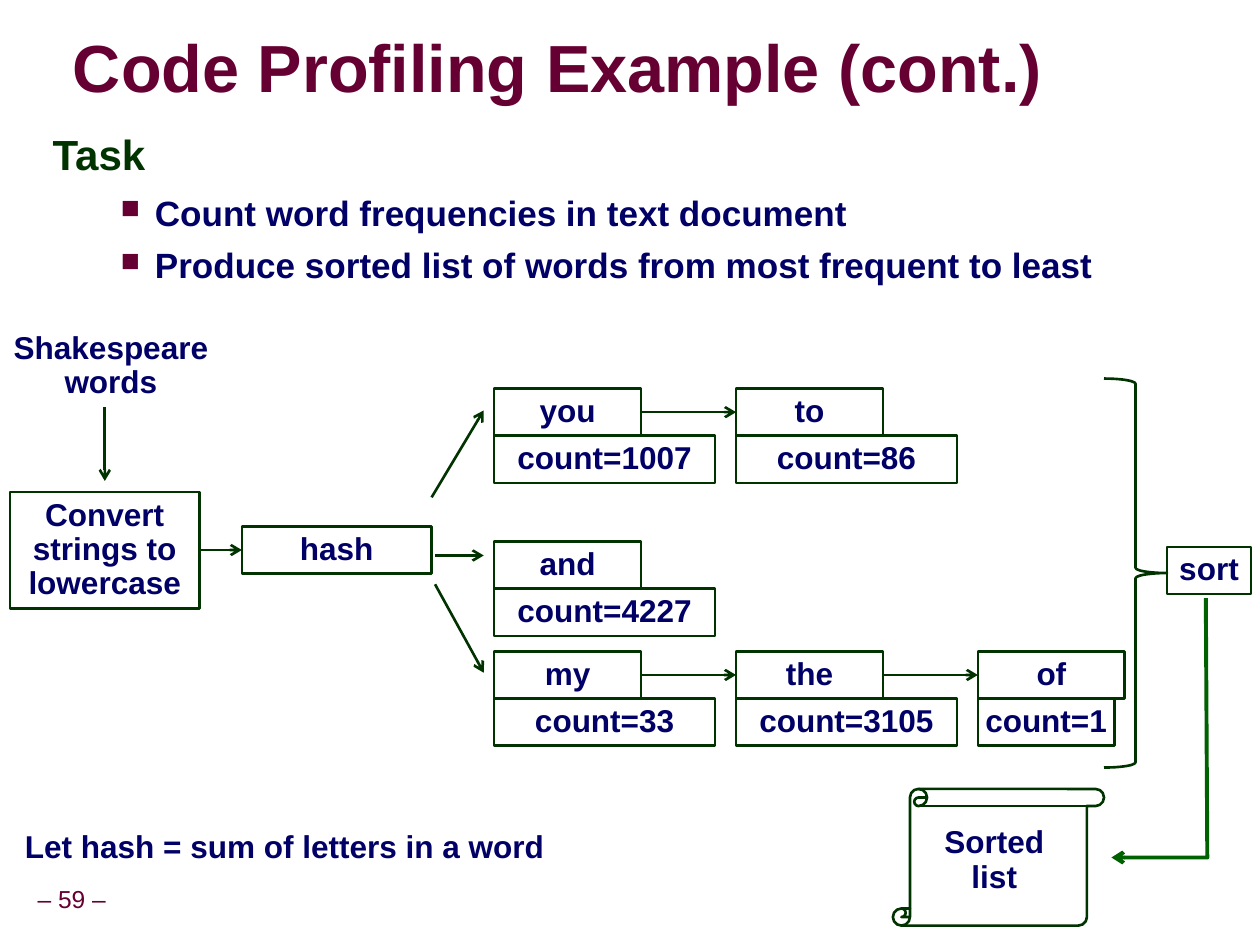
from dataclasses import dataclass

import pptx
import pptx.dml.color
import pptx.enum.shapes
import pptx.enum.text
import pptx.oxml
import pptx.oxml.ns
import pptx.util
from pptx.util import Cm, Pt

COLORS = {"maroon": "660033", "green": "003300", "leaf": "006100", "navy": "000066"}
FONT = "Arial"
SHAPES = pptx.enum.shapes.MSO_SHAPE
ALIGN = pptx.enum.text.PP_ALIGN
ANCHOR = pptx.enum.text.MSO_ANCHOR

# Hash table grid, in cm
COL_X, COL_STEP = 9.95, 4.87
WORD_W, COUNT_W, CELL_H = 2.96, 4.45, 0.95


@dataclass
class Box:
    x: float
    y: float
    w: float
    h: float
    text: str = ""
    shape: int = SHAPES.RECTANGLE


@dataclass
class Label:
    x: float
    y: float
    w: float
    h: float
    lines: tuple[str, ...]
    size: float = 18
    color: str = "navy"
    bold: bool = True
    inset: float = 0.25
    spacing: float = 0.9
    align: int = ALIGN.CENTER
    anchor: int = ANCHOR.TOP
    wrap: bool = False


@dataclass
class Arrow:
    x1: float
    y1: float
    x2: float
    y2: float


@dataclass
class Chain:
    y: float
    entries: tuple[tuple[str, int], ...]


def rgb(name: str) -> pptx.dml.color.RGBColor:
    return pptx.dml.color.RGBColor.from_string(COLORS[name])


def xml(tag: str, body: str):
    ns = pptx.oxml.ns.nsdecls("a")
    return pptx.oxml.parse_xml(f"<a:{tag} {ns} {body}")


def set_line(s, color: str = "green", width: float = 1.5, arrow: bool = False) -> None:
    s.line.color.rgb = rgb(color)
    s.line.width = Pt(width)
    if arrow:
        s.line._get_or_add_ln().append(xml("tailEnd", 'type="arrow"/>'))


def add_run(p, text: str, size: float, color: str, bold: bool = True):
    r = p.add_run()
    r.text = text
    r.font.name, r.font.size, r.font.bold = FONT, Pt(size), bold
    r.font.color.rgb = rgb(color)
    return r


def set_frame(tf, inset: float, anchor: int, wrap: bool) -> None:
    tf.margin_left = tf.margin_right = Cm(inset)
    tf.margin_top = tf.margin_bottom = Cm(min(inset, 0.13))
    tf.vertical_anchor = anchor
    tf.word_wrap = wrap


def add_box(shapes, b: Box):
    s = shapes.add_shape(b.shape, Cm(b.x), Cm(b.y), Cm(b.w), Cm(b.h))
    s.shadow.inherit = False
    s.fill.background()
    set_line(s)
    if b.text:
        set_frame(s.text_frame, 0.13, ANCHOR.MIDDLE, True)
        p = s.text_frame.paragraphs[0]
        p.alignment, p.line_spacing = ALIGN.CENTER, 0.9
        add_run(p, b.text, 18, "navy")
    return s


def add_label(shapes, t: Label):
    sp = shapes.add_textbox(Cm(t.x), Cm(t.y), Cm(t.w), Cm(t.h))
    tf = sp.text_frame
    set_frame(tf, t.inset, t.anchor, t.wrap)
    for i, line in enumerate(t.lines):
        p = tf.add_paragraph() if i else tf.paragraphs[0]
        p.alignment, p.line_spacing = t.align, t.spacing
        add_run(p, line, t.size, t.color, t.bold)
    return sp


def add_arrow(shapes, a: Arrow) -> None:
    s = shapes.add_connector(pptx.enum.shapes.MSO_CONNECTOR.STRAIGHT,
                             Cm(a.x1), Cm(a.y1), Cm(a.x2), Cm(a.y2))
    set_line(s, arrow=True)
    s._element.spPr.append(xml("effectLst", "/>"))


def add_chain(shapes, chain: Chain) -> None:
    for i, (word, count) in enumerate(chain.entries):
        x = COL_X + i * COL_STEP
        count_w = 2.75 if count < 10 else COUNT_W
        add_box(shapes, Box(x, chain.y + CELL_H, count_w, CELL_H, f"count={count}"))
        add_box(shapes, Box(x, chain.y, WORD_W, CELL_H, word))
        if i:
            mid = chain.y + CELL_H / 2
            add_arrow(shapes, Arrow(x - COL_STEP + WORD_W, mid, x, mid))


def add_bullet(tf, text: str) -> None:
    p = tf.add_paragraph()
    pPr = p._p.get_or_add_pPr()
    pPr.set("marL", str(Cm(2.06)))
    pPr.set("indent", str(Cm(-0.69)))
    pPr.append(xml("buClr", f'><a:srgbClr val="{COLORS["maroon"]}"/></a:buClr>'))
    pPr.append(xml("buSzPct", 'val="75000"/>'))
    pPr.append(xml("buChar", 'char="■"/>'))
    p.space_before = Pt(6)
    add_run(p, text, 20, "navy")


def main() -> None:
    prs = pptx.Presentation()
    prs.slide_width, prs.slide_height = Cm(25.37), Cm(19.02)
    shapes = prs.slides.add_slide(prs.slide_layouts[6]).shapes

    # Page number and shadowed title
    add_label(shapes, Label(0.58, 17.73, 1.73, 0.81, ("– 59 –",), 14, "maroon", False,
                            inset=0.13, anchor=ANCHOR.MIDDLE))
    title = add_label(shapes, Label(1.47, 0.64, 21.34, 1.6,
                                    ("Code Profiling Example (cont.)",), 38, "maroon",
                                    inset=0, spacing=0.87, align=ALIGN.LEFT,
                                    anchor=ANCHOR.MIDDLE, wrap=True))
    rPr = title.text_frame.paragraphs[0].runs[0].font._element
    rPr.find(pptx.oxml.ns.qn("a:solidFill")).addnext(xml(
        "effectLst", '><a:outerShdw blurRad="38100" dist="38100" dir="2700000">'
        '<a:srgbClr val="000000"><a:alpha val="43000"/></a:srgbClr>'
        '</a:outerShdw></a:effectLst>'))

    # Task description
    task = add_label(shapes, Label(0.81, 2.54, 23.04, 1.68, ("Task",), 24, "green",
                                   spacing=0.95, align=ALIGN.LEFT, wrap=True))
    for text in ("Count word frequencies in text document",
                 "Produce sorted list of words from most frequent to least"):
        add_bullet(task.text_frame, text)

    # Processing steps
    for box in (Box(0.2, 9.9, 3.82, 2.35, "Convert strings to lowercase"),
                Box(4.87, 10.6, 3.82, CELL_H, "hash"),
                Box(23.5, 11.01, 1.69, CELL_H, "sort"),
                Box(17.98, 15.88, 4.25, 2.75, shape=SHAPES.VERTICAL_SCROLL)):
        add_box(shapes, box)
    brace = add_box(shapes, Box(22.23, 7.62, 1.27, 7.83, shape=SHAPES.RIGHT_BRACE))
    brace.adjustments[0] = 0.083

    # Hash table
    for chain in (Chain(7.82, (("you", 1007), ("to", 86))),
                  Chain(10.9, (("and", 4227),)),
                  Chain(13.11, (("my", 33), ("the", 3105), ("of", 1)))):
        add_chain(shapes, chain)

    # Arrows between steps
    for arrow in (Arrow(2.11, 8.2, 2.11, 9.68), Arrow(4.02, 11.07, 4.87, 11.07),
                  Arrow(8.69, 10.01, 9.74, 8.26), Arrow(8.76, 11.18, 9.74, 11.18),
                  Arrow(8.76, 11.76, 9.74, 13.54)):
        add_arrow(shapes, arrow)
    fb = shapes.build_freeform(Cm(24.28), Cm(12.04))
    fb.add_line_segments([(Cm(24.31), Cm(17.26)), (Cm(22.38), Cm(17.26))], close=False)
    route = fb.convert_to_shape()
    route.shadow.inherit = False
    route.fill.background()
    set_line(route, "leaf", 2.25, arrow=True)

    # Free labels
    for label in (Label(0, 6.55, 4.47, 1.65, ("Shakespeare", "words")),
                  Label(18.75, 16.51, 2.54, 1.65, ("Sorted", "list")),
                  Label(0.2, 16.61, 11.07, 0.97, ("Let hash = sum of letters in a word",))):
        add_label(shapes, label)

    prs.save("out.pptx")


if __name__ == "__main__":
    main()
